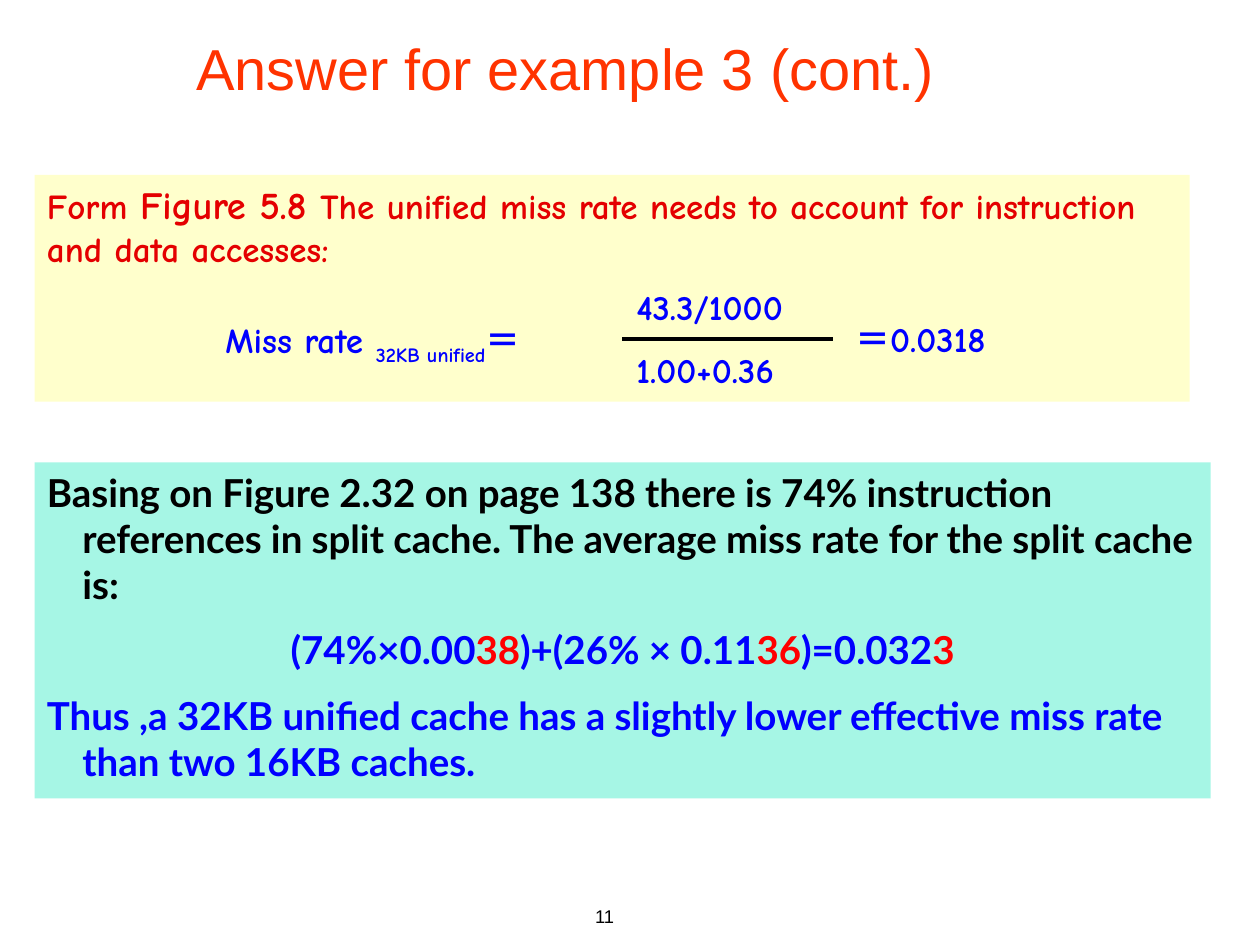
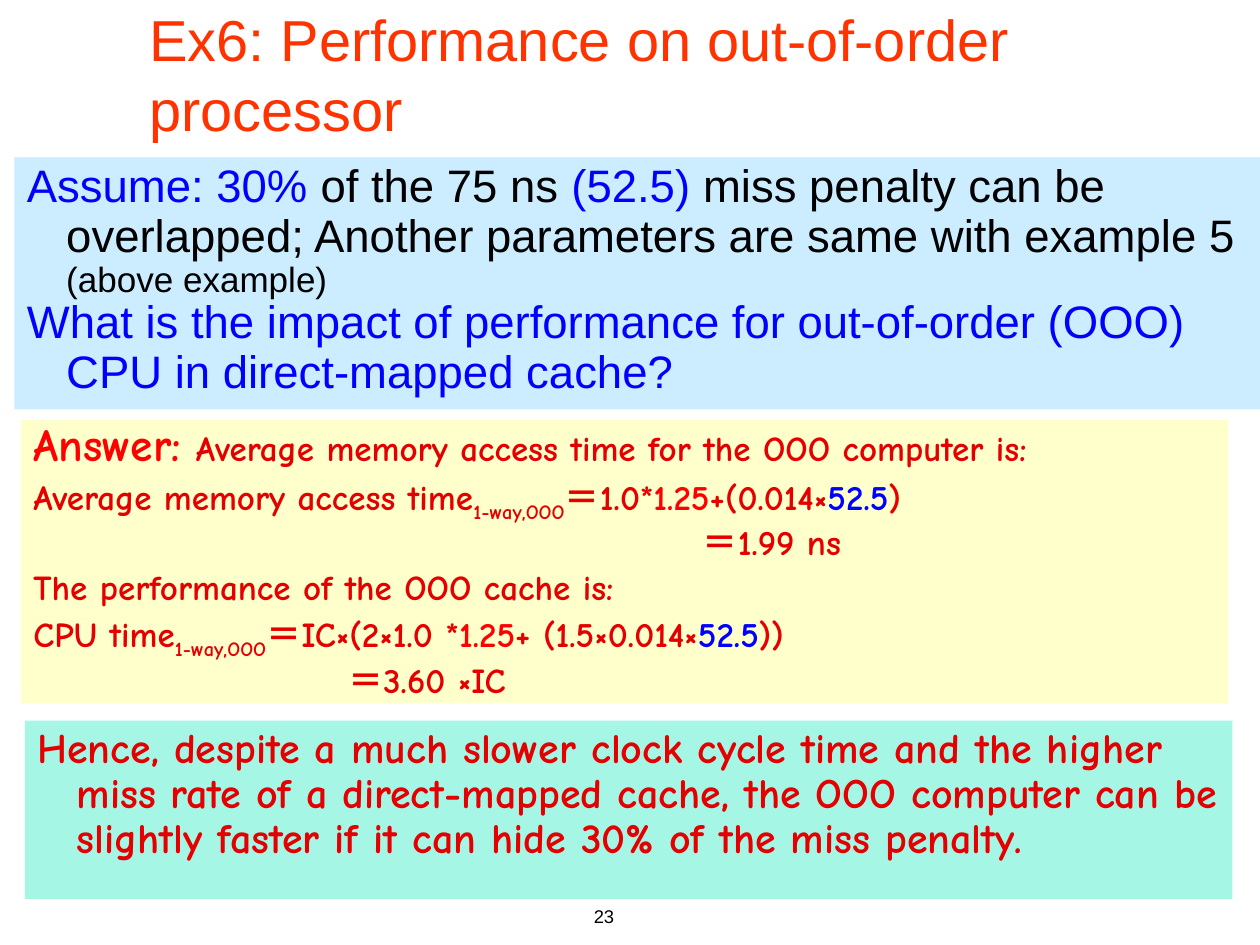
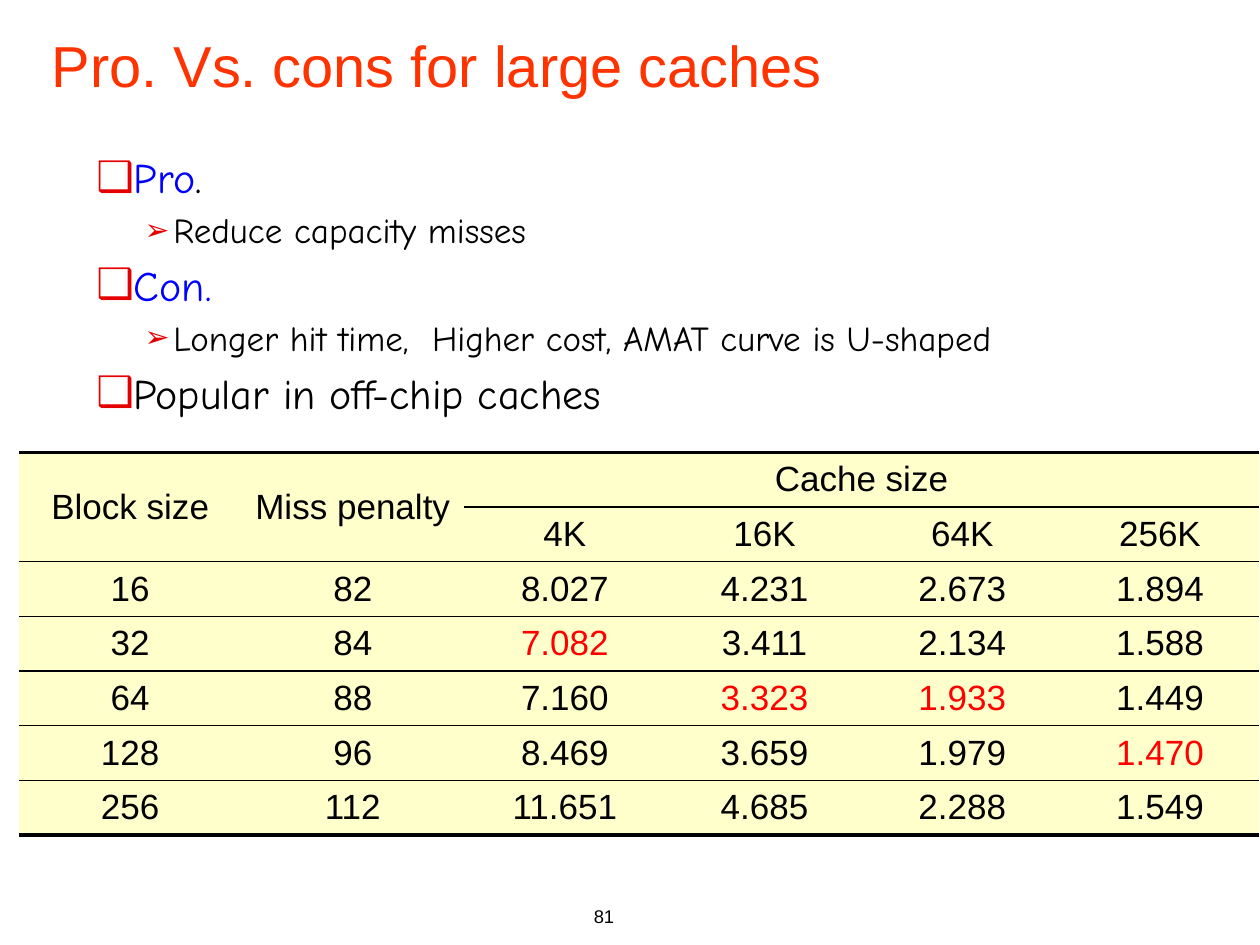
from dataclasses import dataclass
from typing import NamedTuple, Optional, Sequence

import lxml.etree
import pptx
import pptx.dml.color
import pptx.enum.shapes
import pptx.enum.text
import pptx.oxml.ns
import pptx.util

Pt = pptx.util.Pt
RGBColor = pptx.dml.color.RGBColor
ALIGN = pptx.enum.text.PP_ALIGN
ANCHOR = pptx.enum.text.MSO_ANCHOR
qn = pptx.oxml.ns.qn

BLACK = RGBColor(0x00, 0x00, 0x00)
WHITE = RGBColor(0xFF, 0xFF, 0xFF)
BLUE = RGBColor(0x00, 0x00, 0xFF)
RED = RGBColor(0xFF, 0x00, 0x00)
CRIMSON = RGBColor(0xE4, 0x00, 0x00)
ORANGE = RGBColor(0xFF, 0x33, 0x00)
YELLOW = RGBColor(0xFF, 0xFF, 0xCC)
MINT = RGBColor(0xA6, 0xF6, 0xE5)
SKY = RGBColor(0xCC, 0xEC, 0xFF)

SANS, COMIC, LATO = "Arial", "Comic Neue", "Lato"
NO_TABLE_STYLE = "{2D5ABB26-0587-4C30-8999-92F81FD0307C}"


class Font(NamedTuple):
    name: str
    size: float
    bold: bool = False


class Box(NamedTuple):
    left: float
    top: float
    width: float
    height: float

    def lengths(self) -> list:
        return [Pt(v) for v in self]


class Run(NamedTuple):
    text: str
    color: RGBColor = BLACK
    size: Optional[float] = None
    subscript: bool = False


class Bullet(NamedTuple):
    char: str
    percent: int


@dataclass
class Para:
    runs: Sequence[Run]
    align: ALIGN = ALIGN.LEFT
    before: float = 0
    line: float = 1.0
    left: float = 0
    first: float = 0
    bullet: Optional[Bullet] = None


TITLE = Font(SANS, 33)
PAGE_NUMBER = Font(SANS, 10.5)
QUESTION = Font(SANS, 26)
CELL = Font(SANS, 20)
FORMULA = Font(COMIC, 20, True)
VERDICT = Font(COMIC, 24, True)
OUTLINE = Font(COMIC, 24)
STATEMENT = Font(LATO, 22, True)


def add_bullet(p, bullet: Bullet) -> None:
    pPr = p._p.get_or_add_pPr()
    color = lxml.etree.SubElement(pPr, qn("a:buClr"))
    lxml.etree.SubElement(color, qn("a:srgbClr")).set("val", str(CRIMSON))
    lxml.etree.SubElement(pPr, qn("a:buSzPct")).set("val", str(bullet.percent * 1000))
    lxml.etree.SubElement(pPr, qn("a:buFont")).set("typeface", SANS)
    lxml.etree.SubElement(pPr, qn("a:buChar")).set("char", bullet.char)


def write_para(p, para: Para, font: Font) -> None:
    p.alignment = para.align
    p.line_spacing = para.line
    p.space_before = Pt(para.before)
    pPr = p._p.get_or_add_pPr()
    pPr.set("marL", str(Pt(para.left)))
    pPr.set("indent", str(Pt(para.first)))
    if para.bullet:
        add_bullet(p, para.bullet)
    for run in para.runs:
        r = p.add_run()
        r.text = run.text
        r.font.name = font.name
        r.font.size = Pt(run.size or font.size)
        r.font.bold = font.bold
        r.font.color.rgb = run.color
        if run.subscript:
            r.font._element.set("baseline", "-25000")


def add_text(s, box: Box, font: Font, paras: Sequence[Para],
             fill: Optional[RGBColor] = None, anchor: ANCHOR = ANCHOR.TOP,
             wrap: bool = True) -> None:
    """Add a text box, or a filled rectangle when a fill is given."""
    if fill is None:
        sp = s.shapes.add_textbox(*box.lengths())
    else:
        sp = s.shapes.add_shape(pptx.enum.shapes.MSO_SHAPE.RECTANGLE, *box.lengths())
        sp.shadow.inherit = False
        sp.fill.solid()
        sp.fill.fore_color.rgb = fill
        sp.line.fill.background()
    tf = sp.text_frame
    tf.word_wrap = wrap
    tf.vertical_anchor = anchor
    for i, para in enumerate(paras):
        write_para(tf.paragraphs[0] if i == 0 else tf.add_paragraph(), para, font)


def add_slide(prs, title: str, title_box: Box, number: int):
    """Add a blank slide with the shared title style and page number."""
    s = prs.slides.add_slide(prs.slide_layouts[6])
    add_text(s, Box(208, 513.75, 150, 36), PAGE_NUMBER,
             [Para([Run(str(number))], align=ALIGN.RIGHT)])
    add_text(s, title_box, TITLE, [Para([Run(title, ORANGE)])], WHITE, ANCHOR.MIDDLE)
    return s


def add_rule(s, x1: float, x2: float, y: float) -> None:
    line = s.shapes.add_connector(pptx.enum.shapes.MSO_CONNECTOR.STRAIGHT,
                                  Pt(x1), Pt(y), Pt(x2), Pt(y))
    line.line.color.rgb = BLACK
    line.line.width = Pt(2.25)
    lxml.etree.SubElement(line._element.spPr, qn("a:effectLst"))


def add_border(cell, side: str, width: float) -> None:
    ln = lxml.etree.SubElement(cell._tc.get_or_add_tcPr(), qn(f"a:{side}"))
    ln.set("w", str(Pt(width)))
    fill = lxml.etree.SubElement(ln, qn("a:solidFill"))
    lxml.etree.SubElement(fill, qn("a:srgbClr")).set("val", str(BLACK))


def build_miss_rate(prs) -> None:
    s = add_slide(prs, "Answer for example 3 (cont.)", Box(105, 0, 595.5, 77), 11)
    hanging = dict(left=20.25, first=-20.25)
    add_text(s, Box(19.75, 264.25, 672, 192), STATEMENT, [
        Para([Run("Basing on Figure 2.32 on page 138 there is 74% instruction references "
                  "in split cache. The average miss rate for the split cache is:")],
             **hanging),
        Para([Run("(74%×0.00", BLUE), Run("38", RED), Run(")+(26% × 0.11", BLUE),
              Run("36", RED), Run(")=0.032", BLUE), Run("3", RED)],
             align=ALIGN.CENTER, before=11, **hanging),
        Para([Run("Thus ,a 32KB unified cache has a slightly lower effective miss rate "
                  "than two 16KB caches.", BLUE)], before=11, **hanging),
    ], MINT)
    add_text(s, Box(19.75, 100, 660, 129.5), FORMULA, [
        Para([Run("Form ", CRIMSON), Run("Figure 5.8 ", CRIMSON, 22),
              Run("The unified miss rate needs to account for instruction "
                  "and data accesses:", CRIMSON)]),
    ], YELLOW)
    formula_parts = [
        (Box(121.75, 178.75, 216, 31), [Run("Miss rate ", BLUE),
                                        Run("32KB unified", BLUE, subscript=True),
                                        Run("＝", BLUE)]),
        (Box(356.5, 159.5, 119, 31), [Run("43.3/1000", BLUE)]),
        (Box(356.5, 195.5, 119, 31), [Run("1.00+0.36", BLUE)]),
        (Box(481.5, 178, 104.5, 31), [Run("＝0.0318", BLUE)]),
    ]
    for box, runs in formula_parts:
        add_text(s, box, FORMULA, [Para(runs)], wrap=False)
    add_rule(s, 355.7, 476, 193.7)


def build_out_of_order(prs) -> None:
    s = add_slide(prs, "Ex6: Performance on out-of-order processor",
                  Box(78.25, 12, 624, 60), 23)
    hanging = dict(left=22.5, first=-22.5)
    add_text(s, Box(8.25, 90, 711.75, 144), QUESTION, [
        Para([Run("Assume: 30%", BLUE), Run(" of the 75 ns "), Run("(52.5)", BLUE),
              Run(" miss penalty can be overlapped; Another parameters are same "
                  "with example 5 "), Run("(above example)", size=20)],
             line=0.9, **hanging),
        Para([Run("What is the impact of performance for out-of-order (OOO) CPU in "
                  "direct-mapped cache?", BLUE)], line=0.9, **hanging),
    ], SKY)

    step = dict(line=0.8, before=6)
    way = Run("1-way,OOO", CRIMSON, subscript=True)
    add_text(s, Box(12, 240, 690, 162), FORMULA, [
        Para([Run("Answer:", RED, 26), Run(" ", CRIMSON, 24),
              Run("Average memory access time for the OOO computer is:", CRIMSON)],
             line=0.8, **hanging),
        Para([Run("Average memory access time", CRIMSON), way, Run("＝1.0*", CRIMSON),
              Run("1.25", RED), Run("+(0.014×", CRIMSON), Run("52.5", BLUE),
              Run(")", CRIMSON)], **step, **hanging),
        Para([Run("＝1.99 ns", CRIMSON)], left=382.5, **step),
        Para([Run("The performance of the OOO cache is:", CRIMSON)], **step, **hanging),
        Para([Run("CPU time", CRIMSON), way, Run("＝IC×(2×1.0 *", CRIMSON),
              Run("1.25", RED), Run("+ (1.5×0.014×", CRIMSON), Run("52.5", BLUE),
              Run("))", CRIMSON)], **step, **hanging),
        Para([Run("＝3.60 ×IC", CRIMSON)], left=180, **step),
    ], YELLOW)
    add_text(s, Box(14.25, 411.75, 690, 102), VERDICT, [
        Para([Run("Hence, despite a much slower clock cycle time and the higher miss rate "
                  "of a direct-mapped cache, the OOO computer can be slightly faster if it "
                  "can hide 30% of the miss penalty.", CRIMSON)], line=0.9, **hanging),
    ], MINT)


def add_cache_table(s) -> None:
    rows = [
        ["Block size", "Miss penalty", "Cache size", "", "", ""],
        ["", "", "4K", "16K", "64K", "256K"],
        ["16", "82", "8.027", "4.231", "2.673", "1.894"],
        ["32", "84", "7.082", "3.411", "2.134", "1.588"],
        ["64", "88", "7.160", "3.323", "1.933", "1.449"],
        ["128", "96", "8.469", "3.659", "1.979", "1.470"],
        ["256", "112", "11.651", "4.685", "2.288", "1.549"],
    ]
    highlighted = {"7.082", "3.323", "1.933", "1.470"}
    widths = [127.2, 127.2, 115.2, 113, 113, 113]
    row_height = 31.15
    box = Box(10.8, 258.5, sum(widths), row_height * len(rows))
    table = s.shapes.add_table(len(rows), len(widths), *box.lengths()).table
    table.first_row = table.horz_banding = False
    table._tbl.tblPr.find(qn("a:tableStyleId")).text = NO_TABLE_STYLE
    for column, width in zip(table.columns, widths):
        column.width = Pt(width)
    for row in table.rows:
        row.height = Pt(row_height)
    for c in (0, 1):
        table.cell(0, c).merge(table.cell(1, c))
    table.cell(0, 2).merge(table.cell(0, 5))

    last = len(rows) - 1
    for i, row in enumerate(rows):
        for j, value in enumerate(row):
            cell = table.cell(i, j)
            if cell.is_spanned:
                continue
            add_border(cell, "lnT", 2.25 if i == 0 else 1)
            add_border(cell, "lnB", 2.25 if i == last else 1)
            cell.fill.solid()
            cell.fill.fore_color.rgb = YELLOW
            cell.vertical_anchor = ANCHOR.MIDDLE
            color = RED if value in highlighted else BLACK
            write_para(cell.text_frame.paragraphs[0],
                       Para([Run(value, color)], align=ALIGN.CENTER), CELL)


def build_large_caches(prs) -> None:
    s = add_slide(prs, "Pro. Vs. cons for large caches", Box(22.5, 0, 682, 73.5), 81)
    topic = dict(left=20.25, first=-20.25, bullet=Bullet("❑", 100))
    detail = dict(left=44, first=-16.5, before=4, bullet=Bullet("➢", 85))
    add_text(s, Box(48, 83, 650, 164), OUTLINE, [
        Para([Run("Pro", BLUE), Run(".")], **topic),
        Para([Run("Reduce capacity misses", size=20)], **detail),
        Para([Run("Con.", BLUE)], before=4.8, **topic),
        Para([Run("Longer hit time,  Higher cost, AMAT curve is U-shaped", size=20)],
             **detail),
        Para([Run("Popular in off-chip caches")], before=4.8, **topic),
    ])
    add_cache_table(s)


def main() -> None:
    prs = pptx.Presentation()
    prs.slide_width, prs.slide_height = Pt(720), Pt(540)
    build_miss_rate(prs)
    build_out_of_order(prs)
    build_large_caches(prs)
    prs.save("out.pptx")


if __name__ == "__main__":
    main()
